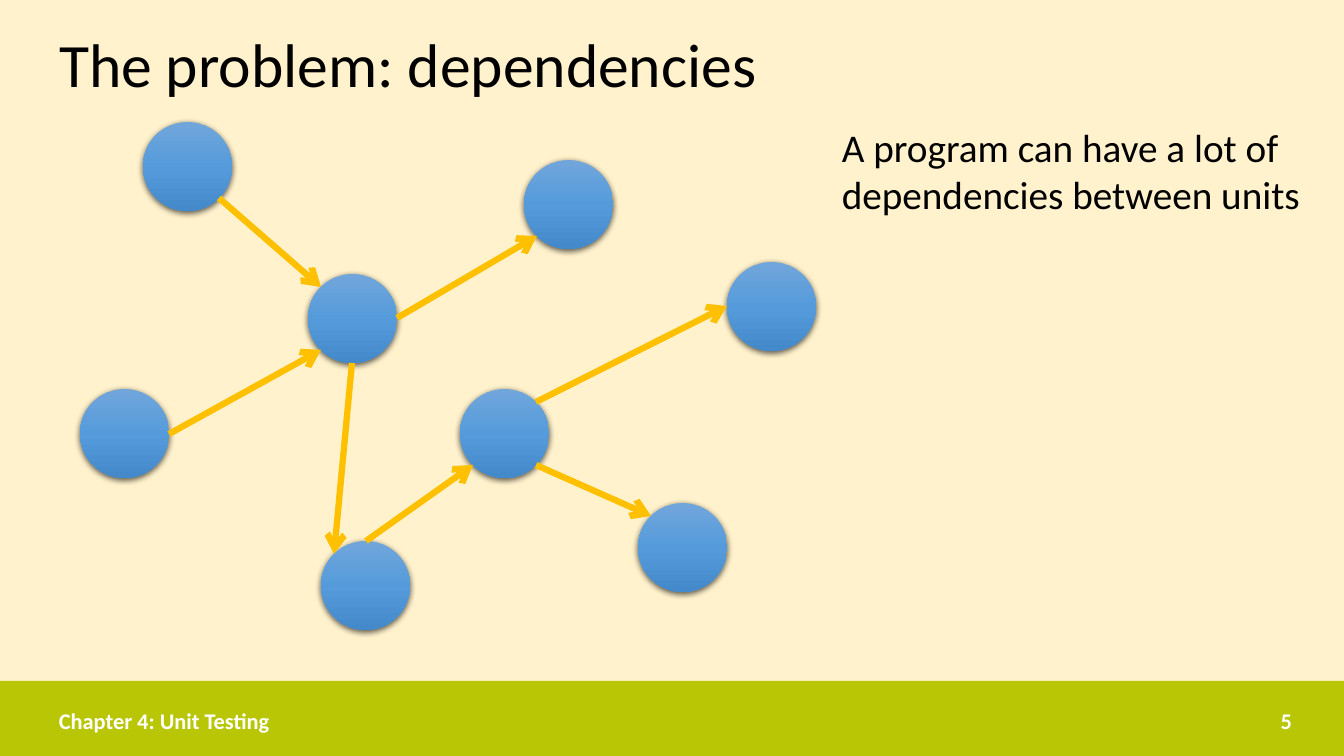
from math import cos, radians, sin

from pptx import Presentation
from pptx.dml.color import RGBColor
from pptx.enum.shapes import MSO_CONNECTOR, MSO_SHAPE
from pptx.enum.text import MSO_ANCHOR, MSO_AUTO_SIZE, PP_ALIGN
from pptx.oxml import parse_xml
from pptx.oxml.ns import nsdecls, qn
from pptx.util import Emu, Pt

COLOURS = {
    "background": "FFF2CC",
    "band": "B8C605",
    "arrow": "FFC000",
    "text": "000000",
    "footer": "FFFFFF",
    "unit_top": "71A6DB",
    "unit_middle": "559BDB",
    "unit_bottom": "448ACA",
    "shadow": "000000",
}
FONT = "Calibri"
EMU_PER_PX = 914400 / 100.8
UNIT_SIZE = 89
UNITS = {
    "hub": (308, 274),
    "upper": (524, 160),
    "right": (727, 262),
    "lower_right": (638, 503),
    "centre": (460, 389),
    "bottom": (321, 541),
    "upper_left": (143, 122),
    "left": (80, 389),
}
RIGHT, LOWER_RIGHT, BOTTOM, LOWER_LEFT, LEFT, UPPER_LEFT, TOP, UPPER_RIGHT = range(0, 360, 45)
DEPENDENCIES = [
    ("upper_left", LOWER_RIGHT, "hub", UPPER_LEFT),
    ("left", RIGHT, "hub", LOWER_LEFT),
    ("bottom", TOP, "centre", LOWER_LEFT),
    ("hub", BOTTOM, "bottom", UPPER_LEFT),
    ("hub", RIGHT, "upper", LOWER_LEFT),
    ("centre", UPPER_RIGHT, "right", LEFT),
    ("centre", LOWER_RIGHT, "lower_right", UPPER_LEFT),
]


def px(length):
    """Turn a length in px into EMU."""
    return Emu(round(length * EMU_PER_PX))


def colour(key):
    """Return the named colour."""
    return RGBColor.from_string(COLOURS[key])


def rim_point(unit, angle):
    """Return the point on a unit's rim, with the angle clockwise from the right."""
    left, top = UNITS[unit]
    radius = UNIT_SIZE / 2
    return (round(left + radius + radius * cos(radians(angle))),
            round(top + radius + radius * sin(radians(angle))))


class SlideBuilder:
    """Hold the style and the current slide."""

    def __init__(self, presentation):
        """Add a title-only slide with the background colour."""
        self.slide = presentation.slides.add_slide(presentation.slide_layouts[5])
        self.slide.background.fill.solid()
        self.slide.background.fill.fore_color.rgb = colour("background")

    def fill_frame(self, frame, wording, size, ink="text", bold=False,
                   align=PP_ALIGN.LEFT, anchor=MSO_ANCHOR.TOP):
        """Put one formatted run into a text frame."""
        frame.word_wrap = True
        frame.auto_size = MSO_AUTO_SIZE.NONE
        frame.vertical_anchor = anchor
        paragraph = frame.paragraphs[0]
        paragraph.alignment = align
        run = paragraph.add_run()
        run.text = wording
        run.font.name = FONT
        run.font.size = Pt(size)
        run.font.bold = bold
        run.font.color.rgb = colour(ink)
        return paragraph

    def title(self, wording, left, top, width, height):
        """Place and fill the title placeholder."""
        heading = self.slide.shapes.title
        heading.left, heading.top = px(left), px(top)
        heading.width, heading.height = px(width), px(height)
        paragraph = self.fill_frame(heading.text_frame, wording, 44, anchor=MSO_ANCHOR.MIDDLE)
        paragraph.line_spacing = 0.9

    def text(self, wording, left, top, width, height, size, **style):
        """Add a text box."""
        box = self.slide.shapes.add_textbox(px(left), px(top), px(width), px(height))
        self.fill_frame(box.text_frame, wording, size, **style)

    def shape(self, preset, left, top, width, height):
        """Add a preset shape without line or shadow."""
        outline = self.slide.shapes.add_shape(preset, px(left), px(top), px(width), px(height))
        outline.shadow.inherit = False
        outline.line.fill.background()
        return outline

    def band(self, left, top, width, height):
        """Add the footer band."""
        band = self.shape(MSO_SHAPE.RECTANGLE, left, top, width, height)
        band.fill.solid()
        band.fill.fore_color.rgb = colour("band")

    def unit(self, left, top):
        """Add a shaded circle with a soft shadow."""
        circle = self.shape(MSO_SHAPE.OVAL, left, top, UNIT_SIZE, UNIT_SIZE)
        properties = circle._element.spPr
        stops = "".join(
            f'<a:gs pos="{position}"><a:srgbClr val="{COLOURS[key]}"/></a:gs>'
            for position, key in ((0, "unit_top"), (50000, "unit_middle"), (100000, "unit_bottom")))
        properties.find(qn("a:ln")).addprevious(parse_xml(
            f'<a:gradFill {nsdecls("a")} rotWithShape="1"><a:gsLst>{stops}</a:gsLst>'
            '<a:lin ang="5400000" scaled="0"/></a:gradFill>'))
        properties.find(qn("a:effectLst")).append(parse_xml(
            f'<a:outerShdw {nsdecls("a")} blurRad="{Pt(4.5)}" dist="{Pt(1.5)}" dir="5400000" '
            f'algn="ctr" rotWithShape="0"><a:srgbClr val="{COLOURS["shadow"]}">'
            '<a:alpha val="63000"/></a:srgbClr></a:outerShdw>'))

    def arrow(self, start, end):
        """Add a straight arrow between two points."""
        arrow = self.slide.shapes.add_connector(
            MSO_CONNECTOR.STRAIGHT, *map(px, start), *map(px, end))
        arrow.line.width = Pt(4.5)
        arrow.line.color.rgb = colour("arrow")
        properties = arrow._element.spPr
        properties.find(qn("a:ln")).append(parse_xml(f'<a:tailEnd {nsdecls("a")} type="arrow"/>'))
        properties.append(parse_xml(f'<a:effectLst {nsdecls("a")}/>'))


def main():
    """Build and save the slide."""
    presentation = Presentation()
    presentation.slide_width, presentation.slide_height = px(1344), px(756)
    builder = SlideBuilder(presentation)
    builder.band(0, 681, 1344, 75)
    builder.title("The problem: dependencies", 49, -5, 1253, 146)
    for corner in UNITS.values():
        builder.unit(*corner)
    for source, source_angle, target, target_angle in DEPENDENCIES:
        builder.arrow(rim_point(source, source_angle), rim_point(target, target_angle))
    builder.text("A program can have a lot of dependencies between units", 832, 118, 532, 105, 28)
    footer = {"size": 16, "ink": "footer", "bold": True, "anchor": MSO_ANCHOR.MIDDLE}
    builder.text("Chapter 4: Unit Testing", 49, 701, 624, 40, **footer)
    builder.text("5", 949, 701, 353, 40, align=PP_ALIGN.RIGHT, **footer)
    presentation.save("out.pptx")


if __name__ == "__main__":
    main()
